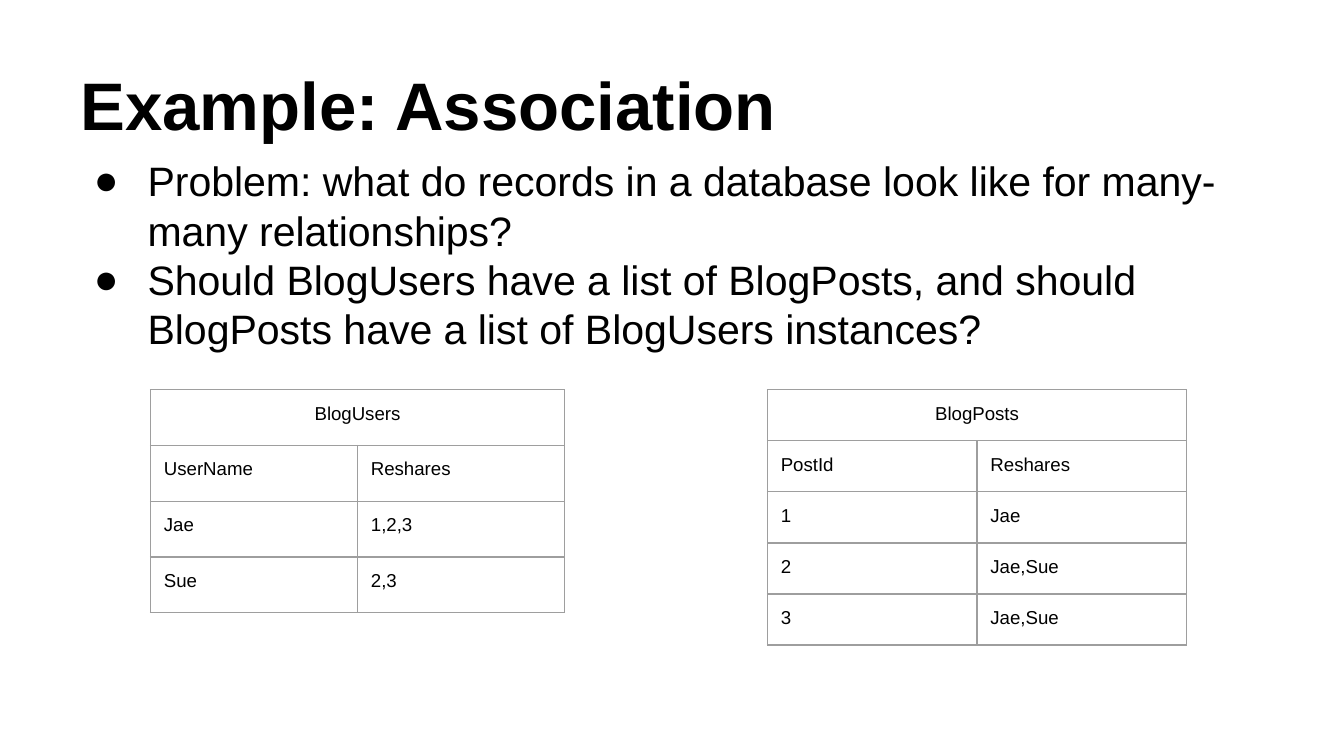
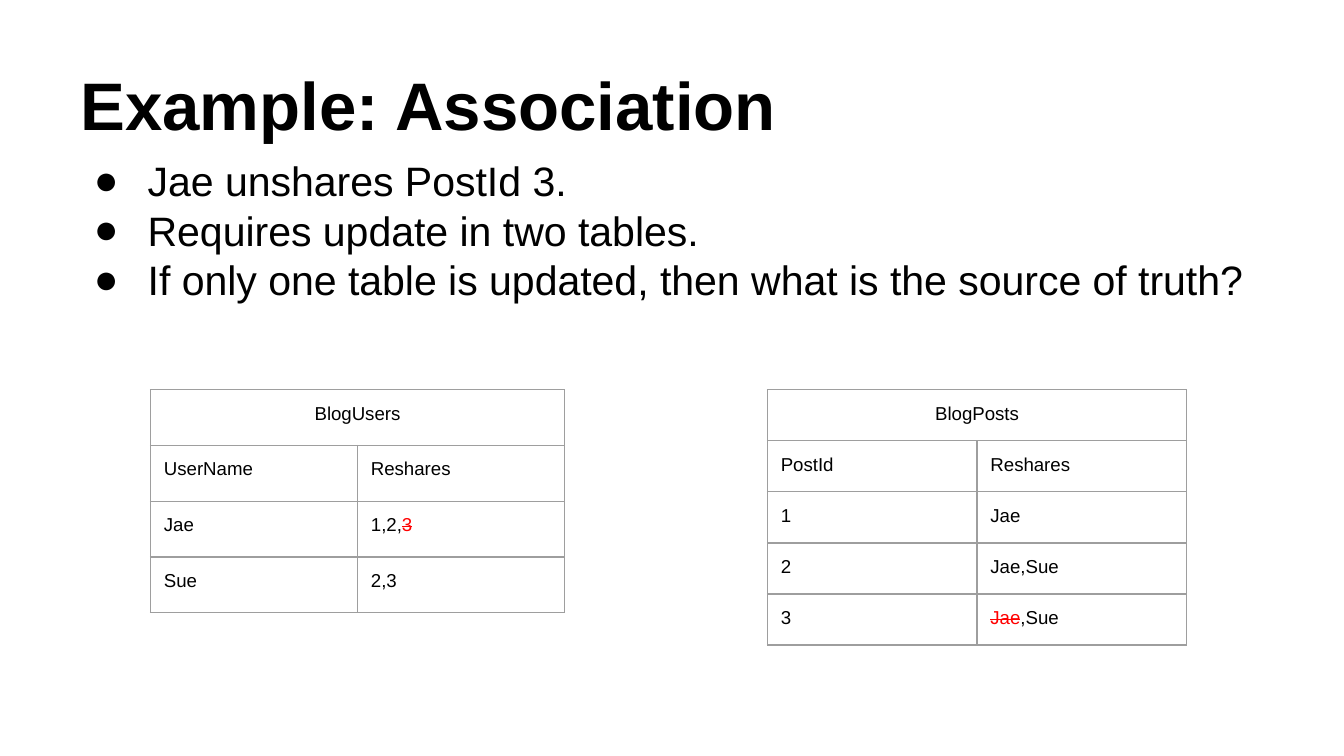
"""Build two slides on storing a many-to-many association in two tables."""
import pptx
import pptx.dml.color
import pptx.enum.text
import pptx.oxml.ns
import pptx.util
from lxml import etree

Inches, Pt = pptx.util.Inches, pptx.util.Pt
RGBColor = pptx.dml.color.RGBColor
ANCHOR, ALIGN = pptx.enum.text.MSO_ANCHOR, pptx.enum.text.PP_ALIGN
qn = pptx.oxml.ns.qn

BLACK = RGBColor(0x00, 0x00, 0x00)
RED = RGBColor(0xFF, 0x00, 0x00)
GRAY = RGBColor(0x9E, 0x9E, 0x9E)
FONT = "Arial"
TITLE = "Example: Association"
TITLE_BOX = (0.5, 0.23, 9, 0.94)
TABLE_TOP = 2.9


def kept(text):
    return (text, False)


def struck(text):
    return (text, True)


USERS = {"name": "BlogUsers", "left": 1.12, "col": 1.54, "height": 1.66}
POSTS = {"name": "BlogPosts", "left": 5.71, "col": 1.56, "height": 1.9}


def user_rows(jae_reshares):
    return [("UserName", "Reshares"), ("Jae", jae_reshares), ("Sue", "2,3")]


def post_rows(last_reshares):
    return [("PostId", "Reshares"), ("1", "Jae"), ("2", "Jae,Sue"), ("3", last_reshares)]


SLIDES = [
    {
        "bullets": [
            "Problem: what do records in a database look like for many-many relationships?",
            "Should BlogUsers have a list of BlogPosts, and should BlogPosts have a list of "
            "BlogUsers instances?",
        ],
        "body_width": 9,
        "tables": [(USERS, user_rows("1,2,3")), (POSTS, post_rows("Jae,Sue"))],
    },
    {
        "bullets": [
            "Jae unshares PostId 3.",
            "Requires update in two tables.",
            "If only one table is updated, then what is the source of truth?",
        ],
        "body_width": 9.09,
        "tables": [
            (USERS, user_rows([kept("1,2,"), struck("3")])),
            (POSTS, post_rows([struck("Jae"), kept(",Sue")])),
        ],
    },
]


def add_run(p, text, size, color=BLACK, bold=False):
    r = p.add_run()
    r.text = text
    r.font.name = FONT
    r.font.size = Pt(size)
    r.font.bold = bold
    r.font.color.rgb = color
    return r


def add_text_box(slide, box, anchor):
    tf = slide.shapes.add_textbox(*map(Inches, box)).text_frame
    tf.word_wrap = True
    tf.vertical_anchor = anchor
    tf.margin_left = tf.margin_right = tf.margin_top = tf.margin_bottom = Inches(0.1)
    return tf


def set_bullet(p):
    pPr = p._p.get_or_add_pPr()
    pPr.set("marL", str(Inches(0.5)))
    pPr.set("indent", str(Inches(-0.4)))
    color = etree.SubElement(pPr, qn("a:buClr"))
    etree.SubElement(color, qn("a:srgbClr"), val=str(BLACK))
    etree.SubElement(pPr, qn("a:buFont"), typeface=FONT)
    etree.SubElement(pPr, qn("a:buChar"), char="●")


def add_bullets(slide, bullets, width):
    tf = add_text_box(slide, (0.5, 1.06, width, 1.88), ANCHOR.TOP)
    for i, text in enumerate(bullets):
        p = tf.add_paragraph() if i else tf.paragraphs[0]
        p.space_before = Pt(0 if i else 6)
        set_bullet(p)
        add_run(p, text, 22)


def style_cell(cell):
    cell.margin_left = cell.margin_right = cell.margin_top = cell.margin_bottom = Inches(0.1)
    tcPr = cell._tc.get_or_add_tcPr()
    for side in ("lnL", "lnR", "lnT", "lnB"):
        ln = etree.SubElement(tcPr, qn("a:" + side), w=str(Pt(0.75)))
        fill = etree.SubElement(ln, qn("a:solidFill"))
        etree.SubElement(fill, qn("a:srgbClr"), val=str(GRAY))
    cell.fill.background()


def fill_cell(cell, content):
    p = cell.text_frame.paragraphs[0]
    runs = [kept(content)] if isinstance(content, str) else content
    for text, is_struck in runs:
        r = add_run(p, text, 10, RED if is_struck else BLACK)
        if is_struck:
            r._r.get_or_add_rPr().set("strike", "sngStrike")
    return p


def add_data_table(slide, layout, rows):
    count = len(rows) + 1
    box = (layout["left"], TABLE_TOP, 2 * layout["col"], layout["height"])
    table = slide.shapes.add_table(count, 2, *map(Inches, box)).table
    table.first_row = table.horz_banding = False
    for cell in table.iter_cells():
        style_cell(cell)
    table.cell(0, 0).merge(table.cell(0, 1))
    fill_cell(table.cell(0, 0), layout["name"]).alignment = ALIGN.CENTER
    for i, row in enumerate(rows, 1):
        for j, content in enumerate(row):
            fill_cell(table.cell(i, j), content)


def main():
    prs = pptx.Presentation()
    prs.slide_width = Inches(10)
    prs.slide_height = prs.slide_width * 9 // 16
    for content in SLIDES:
        slide = prs.slides.add_slide(prs.slide_layouts[6])
        title = add_text_box(slide, TITLE_BOX, ANCHOR.BOTTOM)
        add_run(title.paragraphs[0], TITLE, 36, bold=True)
        add_bullets(slide, content["bullets"], content["body_width"])
        for layout, rows in content["tables"]:
            add_data_table(slide, layout, rows)
    prs.save("out.pptx")


if __name__ == "__main__":
    main()
